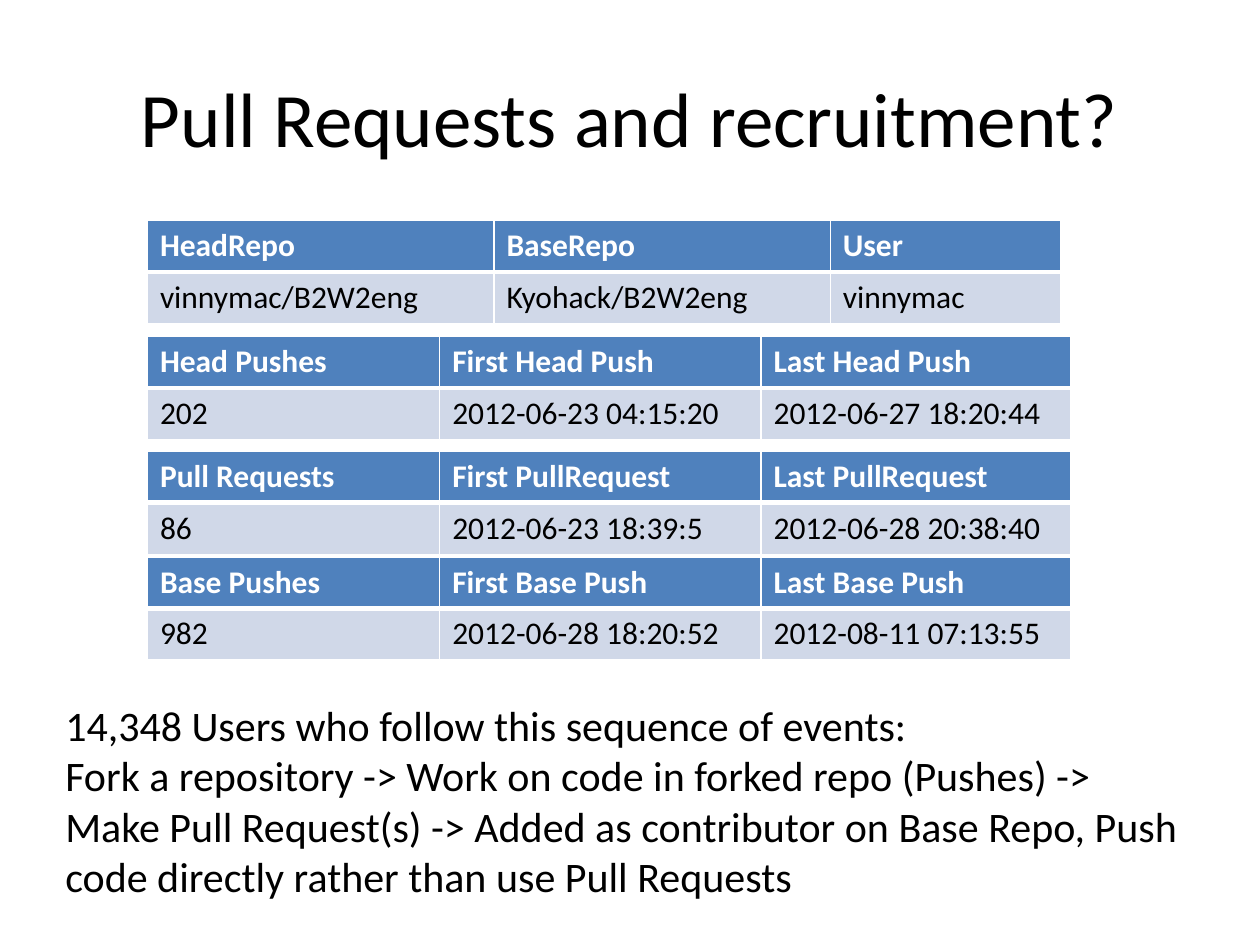
from dataclasses import dataclass

from lxml import etree
from pptx import Presentation
from pptx.dml.color import RGBColor
from pptx.enum.text import MSO_ANCHOR, PP_ALIGN
from pptx.oxml.ns import qn
from pptx.util import Inches, Pt

LEFT, CENTER = PP_ALIGN.LEFT, PP_ALIGN.CENTER
TOP, MIDDLE = MSO_ANCHOR.TOP, MSO_ANCHOR.MIDDLE


@dataclass(frozen=True)
class Theme:
    font: str = "Calibri"
    ink: str = "000000"
    paper: str = "FFFFFF"
    head: str = "4F81BD"
    band: str = "D0D8E8"
    title: int = 44
    body: int = 24
    cell: int = 18
    thin: int = 1
    thick: int = 3


class Deck:
    def __init__(self, theme):
        self.theme = theme
        self.prs = Presentation()
        self.prs.slide_width = Inches(10)
        self.prs.slide_height = Inches(7.5)
        self.slide = self.prs.slides.add_slide(self.prs.slide_layouts[6])

    def style(self, frame, size, color, bold=False, align=LEFT):
        for para in frame.paragraphs:
            para.alignment = align
            for run in para.runs:
                run.font.name = self.theme.font
                run.font.size = Pt(size)
                run.font.bold = bold
                run.font.color.rgb = RGBColor.from_string(color)

    def text(self, box, words, size, align=LEFT, anchor=TOP):
        frame = self.slide.shapes.add_textbox(*map(Inches, box)).text_frame
        frame.word_wrap = True
        frame.vertical_anchor = anchor
        frame.text = words
        self.style(frame, size, self.theme.ink, align=align)

    def border(self, cell, side, width):
        props = cell._tc.get_or_add_tcPr()
        line = etree.SubElement(props, qn(f"a:ln{side}"), w=str(Pt(width)))
        fill = etree.SubElement(line, qn("a:solidFill"))
        etree.SubElement(fill, qn("a:srgbClr"), val=self.theme.paper)

    def table(self, left, top, widths, height, rows):
        look = self.theme
        grid = self.slide.shapes.add_table(
            len(rows), len(widths), Inches(left), Inches(top),
            Inches(sum(widths)), Inches(height * len(rows))).table
        for col, width in zip(grid.columns, widths):
            col.width = Inches(width)
        for r, row in enumerate(rows):
            grid.rows[r].height = Inches(height)
            first = r == 0
            for c, words in enumerate(row):
                cell = grid.cell(r, c)
                cell.text = words
                self.style(cell.text_frame, look.cell,
                           look.paper if first else look.ink, bold=first)
                # The thick rule lies between header and body
                rule = "B" if first else "T"
                for side in "LRTB":
                    self.border(cell, side,
                                look.thick if side == rule else look.thin)
                cell.fill.solid()
                cell.fill.fore_color.rgb = RGBColor.from_string(
                    look.head if first else look.band)


def main():
    theme = Theme()
    deck = Deck(theme)

    # Title
    deck.text((0.5, 0.3, 9, 1.25), "Pull Requests and recruitment?",
              theme.title, CENTER, MIDDLE)

    # Tables: the repositories, then the stages of one user's work
    repos = (2.75, 2.67, 1.83)
    stages = (2.32, 2.55, 2.46)
    tables = [
        (1.75, repos, ("HeadRepo", "BaseRepo", "User"),
         ("vinnymac/B2W2eng", "Kyohack/B2W2eng", "vinnymac")),
        (2.67, stages, ("Head Pushes", "First Head Push", "Last Head Push"),
         ("202", "2012-06-23 04:15:20", "2012-06-27 18:20:44")),
        (3.58, stages,
         ("Pull Requests", "First PullRequest", "Last PullRequest"),
         ("86", "2012-06-23 18:39:5", "2012-06-28 20:38:40")),
        (4.42, stages, ("Base Pushes", "First Base Push", "Last Base Push"),
         ("982", "2012-06-28 18:20:52", "2012-08-11 07:13:55")),
    ]
    for top, widths, *rows in tables:
        deck.table(1.17, top, widths, 0.41, rows)

    # Summary
    deck.text(
        (0.42, 5.5, 9.27, 1.72),
        "14,348 Users who follow this sequence of events:\n"
        "Fork a repository -> Work on code in forked repo (Pushes) ->\n"
        "Make Pull Request(s) -> Added as contributor on Base Repo, "
        "Push code directly rather than use Pull Requests",
        theme.body)

    deck.prs.save("out.pptx")


if __name__ == "__main__":
    main()
